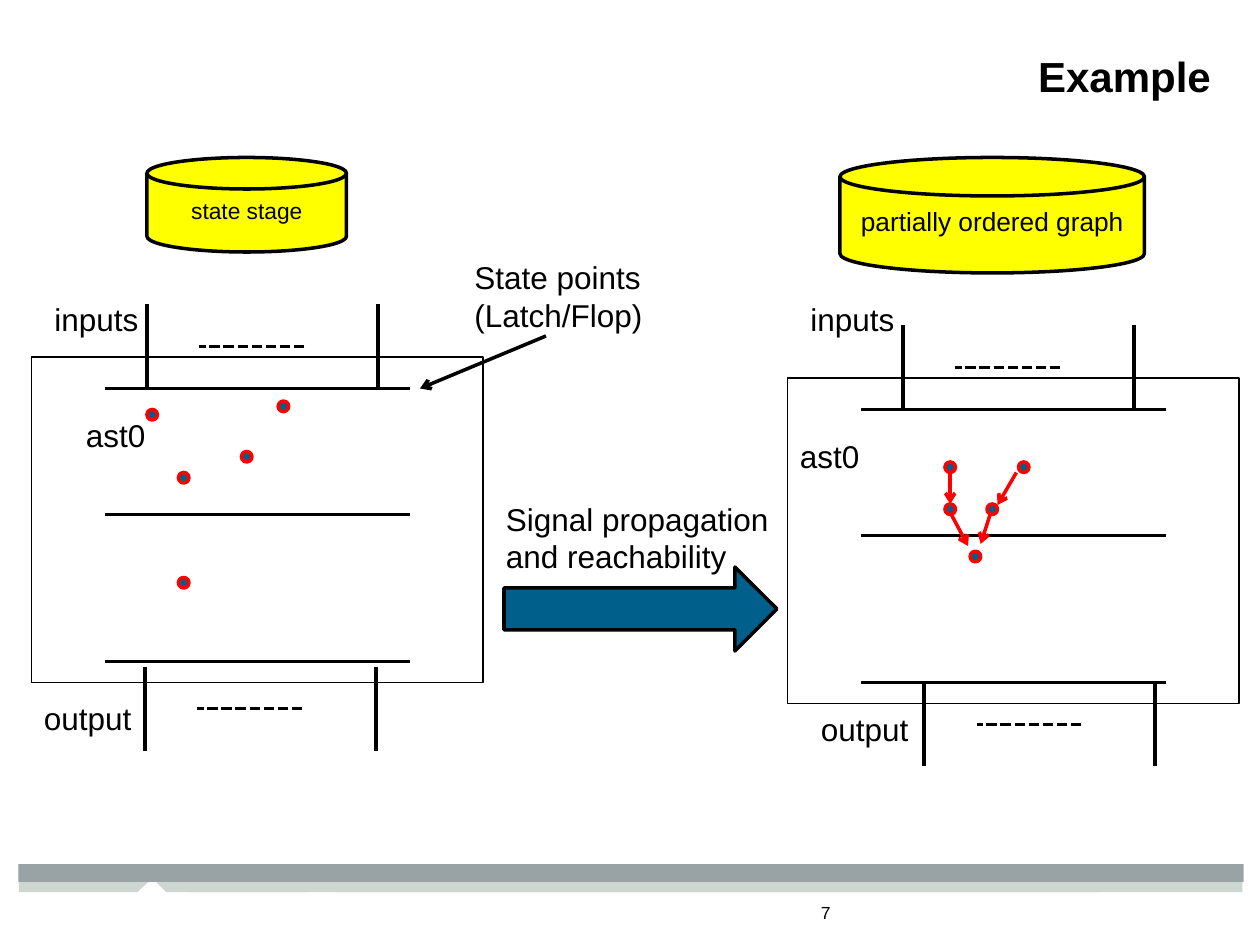
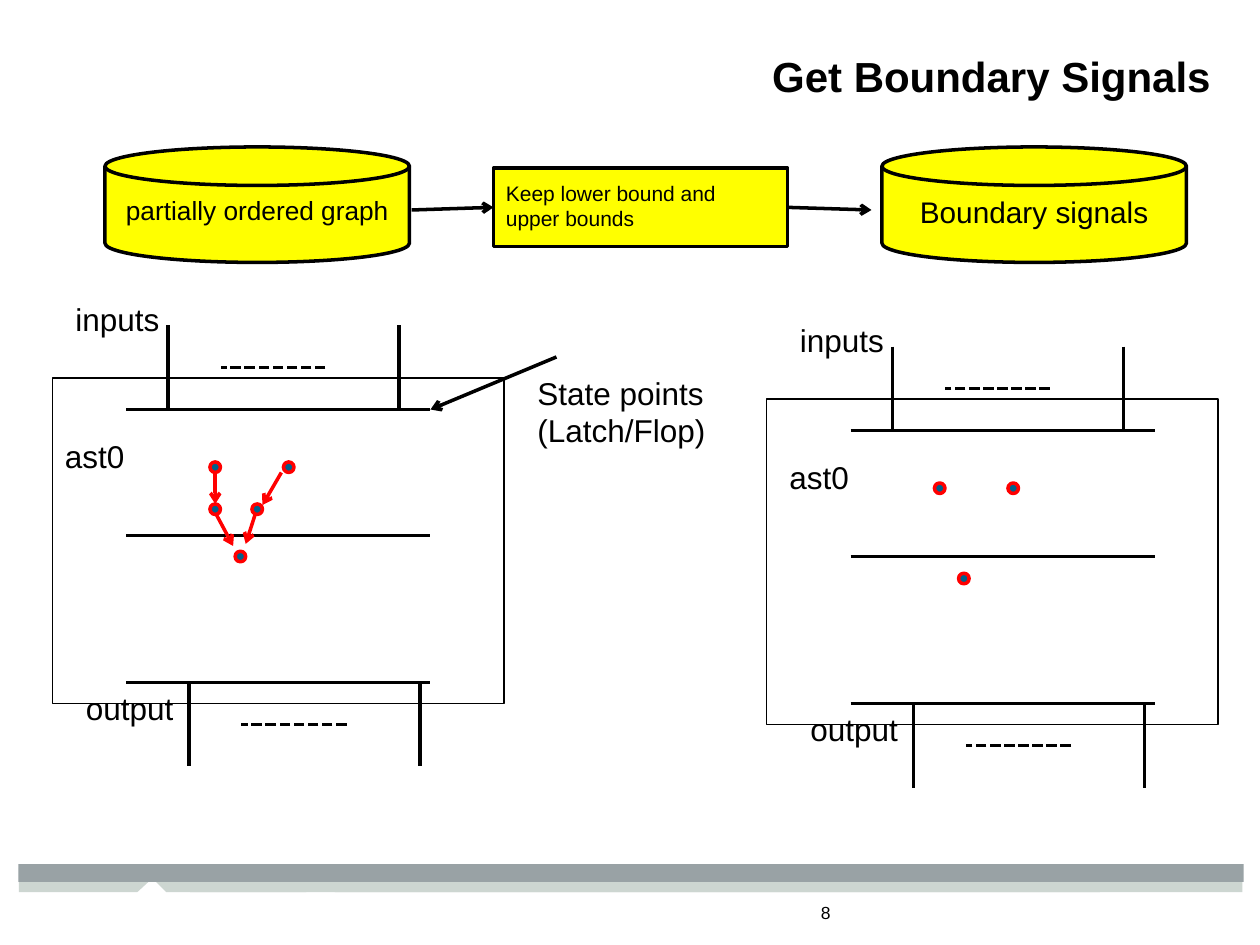
from lxml.etree import SubElement
from pptx import Presentation
from pptx.dml.color import RGBColor
from pptx.enum.dml import MSO_LINE
from pptx.enum.shapes import MSO_CONNECTOR, MSO_SHAPE
from pptx.enum.text import MSO_ANCHOR, PP_ALIGN
from pptx.oxml.ns import qn
from pptx.util import Inches, Pt

COLORS = {
    "ink": "000000",
    "yellow": "FFFF00",
    "blue": "00608B",
    "red": "FF0000",
    "band": "99A2A5",
    "strip": "CDD6D1",
}
FONT = "Arial"

deck = Presentation()
deck.slide_width = Inches(10)
deck.slide_height = Inches(7.5)
CELL = deck.slide_width / 120  # the slide is a grid of 120 columns by 90 rows


def add_block(slide, kind, box, fill=None, line=None, weight=2, lines=(), size=18,
              align=PP_ALIGN.LEFT, spacing=None, bold=False, wrap=True):
    """Add a shape, or a text box if kind is None; box is in grid cells."""
    frame = [round(value * CELL) for value in box]
    if kind is None:
        block = slide.shapes.add_textbox(*frame)
    else:
        block = slide.shapes.add_shape(kind, *frame)
        block.shadow.inherit = False
        if fill:
            block.fill.solid()
            block.fill.fore_color.rgb = RGBColor.from_string(COLORS[fill])
        else:
            block.fill.background()
        if line:
            block.line.color.rgb = RGBColor.from_string(COLORS[line])
            block.line.width = Pt(weight)
        else:
            block.line.fill.background()
        block.text_frame.margin_top = block.text_frame.margin_bottom = Inches(0.1)
    text = block.text_frame
    text.word_wrap = wrap
    text.vertical_anchor = MSO_ANCHOR.TOP
    for number, words in enumerate(lines):
        paragraph = text.add_paragraph() if number else text.paragraphs[0]
        paragraph.alignment = align
        if spacing:
            paragraph.line_spacing = spacing
        run = paragraph.add_run()
        run.text = words
        run.font.name = FONT
        run.font.size = Pt(size)
        run.font.bold = bold
        run.font.color.rgb = RGBColor.from_string(COLORS["ink"])
    return block


def add_line(slide, start, end, color="ink", dashed=False, arrow=False):
    ends = [round(value * CELL) for value in (*start, *end)]
    link = slide.shapes.add_connector(MSO_CONNECTOR.STRAIGHT, *ends)
    link.line.color.rgb = RGBColor.from_string(COLORS[color])
    link.line.width = Pt(2)
    if dashed:
        link.line.dash_style = MSO_LINE.SQUARE_DOT
    properties = link._element.spPr
    if arrow:
        SubElement(properties.find(qn("a:ln")), qn("a:tailEnd"), type="arrow")
    SubElement(properties, qn("a:effectLst"))
    return link


# Title, footer bands and page number
slides = []
for page, title in ((7, "Example"), (8, "Get Boundary Signals")):
    slide = deck.slides.add_slide(deck.slide_layouts[6])
    slides.append(slide)
    for left, notch, right in ((1.51, 2.55, 9.86), (0.15, 1.21, 8.73)):
        outline = slide.shapes.build_freeform(Inches(right), Inches(6.89))
        outline.add_line_segments([
            (Inches(x), Inches(y)) for x, y in (
                (right, 7.08), (notch + 0.11, 7.08), (notch, 6.97),
                (notch - 0.12, 7.08), (left, 7.08), (left, 6.89))
        ])
        strip = outline.convert_to_shape()
        strip.shadow.inherit = False
        strip.fill.solid()
        strip.fill.fore_color.rgb = RGBColor.from_string(COLORS["strip"])
        strip.line.fill.background()
    add_block(slide, MSO_SHAPE.RECTANGLE, (1.75, 82.3, 116.7, 1.7), "band")
    add_block(slide, None, (0, 5, 116.5, 8.6), lines=[title], size=24,
              align=PP_ALIGN.RIGHT, spacing=0.85, bold=True)
    add_block(slide, None, (77, 85.3, 9, 4), lines=[str(page)], size=10)

example, boundary = slides

# Circuits: every place is counted from the left end of the top rail
RAIL_WIDTH = 29
RAIL_ROWS = (0, 12, 26)
PORT_GAP, PORT_HEIGHT = 22, 8
GRAPH_POINTS = [(8, 5), (15, 5), (8, 9), (12, 9), (10.4, 13.5)]
GRAPH_EDGES = [
    ((8.5, 6), (8.5, 9)),
    ((14.8, 6), (13, 9.1)),
    ((8.6, 10), (10.2, 13)),
    ((12.3, 10), (11.4, 12.8)),
]
usual = {
    "frame_left": -7,
    "inputs": (-6, -11),
    "ast0": (-7, 2),
    "output": (-5, 26),
    "output_ports": (6, 26),
    "points": GRAPH_POINTS,
    "edges": GRAPH_EDGES,
}
circuits = [
    (example, 10, 37, usual | {
        "inputs": (-6, -9), "ast0": (-3, 2), "output": (-7, 29),
        "output_ports": (3.8, 26.5), "edges": [],
        "points": [(4, 2), (16.5, 1.2), (13, 6), (7, 8), (7, 18)]}),
    (example, 82, 39, usual | {"output": (-5, 28)}),
    (boundary, 12, 39, usual),
    (boundary, 81, 41, usual | {
        "frame_left": -8, "edges": [],
        "points": [(8, 5), (15, 5), (10.3, 13.6)]}),
]
for slide, x, y, circuit in circuits:
    add_block(slide, MSO_SHAPE.RECTANGLE, (x + circuit["frame_left"], y - 3, 43, 31),
              line="ink", weight=0.75)
    for row in RAIL_ROWS:
        add_line(slide, (x, y + row), (x + RAIL_WIDTH, y + row))
    for column, row in ((4, -PORT_HEIGHT), circuit["output_ports"]):
        port, top = x + column, y + row
        for wire in (port, port + PORT_GAP):
            add_line(slide, (wire, top), (wire, top + PORT_HEIGHT))
        add_line(slide, (port + 15, top + 4), (port + 5, top + 4), dashed=True)
    for label in ("inputs", "ast0", "output"):
        column, row = circuit[label]
        add_block(slide, None, (x + column, y + row, 11, 5), lines=[label], wrap=False)
    for column, row in circuit["points"]:
        add_block(slide, MSO_SHAPE.OVAL, (x + column, y + row, 1, 1), "blue", "red")
    for (x1, y1), (x2, y2) in circuit["edges"]:
        add_line(slide, (x + x1, y + y1), (x + x2, y + y2), "red", arrow=True)

# Data stores
stores = [
    (example, (14, 15, 19, 9), "state stage", 13, 0.8),
    (example, (80, 15, 29, 11), "partially ordered graph", 15, 0.9),
    (boundary, (10, 14, 29, 11), "partially ordered graph", 15, 0.9),
    (boundary, (84, 14, 29, 11), "Boundary signals", 17, 0.9),
]
for slide, box, name, size, spacing in stores:
    add_block(slide, MSO_SHAPE.FLOWCHART_MAGNETIC_DISK, box, "yellow", "ink",
              lines=[name], size=size, align=PP_ALIGN.CENTER, spacing=spacing)

# State point callouts
for slide, place, start, end in (
    (example, (44, 24), (52, 32), (40, 37)),
    (boundary, (50, 35), (53, 34), (41, 39)),
):
    add_block(slide, None, (*place, 19, 9), lines=["State points", "(Latch/Flop)"],
              wrap=False)
    add_line(slide, start, end, arrow=True)

# Step between the two circuits of the example
add_block(example, MSO_SHAPE.RIGHT_ARROW, (48, 54, 26, 8), "blue", "ink")
add_block(example, None, (47, 47, 28, 9), wrap=False,
          lines=["Signal propagation", "and reachability"])

# Step between the two stores of the boundary slide
bounds = add_block(boundary, MSO_SHAPE.RECTANGLE, (47, 16, 28, 7.5), "yellow", "ink",
                   lines=["Keep lower bound and upper bounds"], size=12)
add_line(boundary, (39.2, 20), (47, 19.75), arrow=True).end_connect(bounds, 1)
add_line(boundary, (75, 19.75), (83, 20), arrow=True).begin_connect(bounds, 3)

deck.save("out.pptx")
